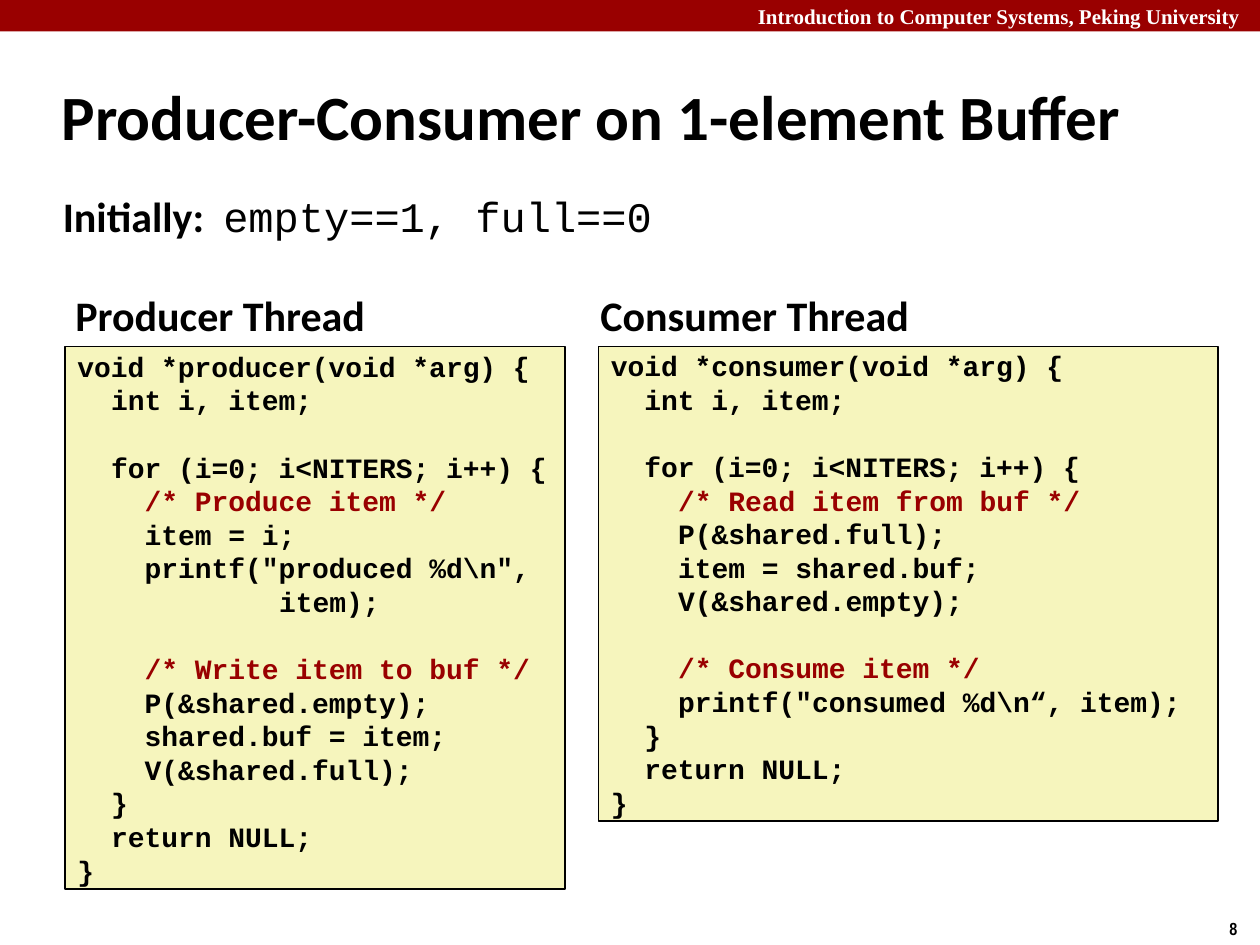
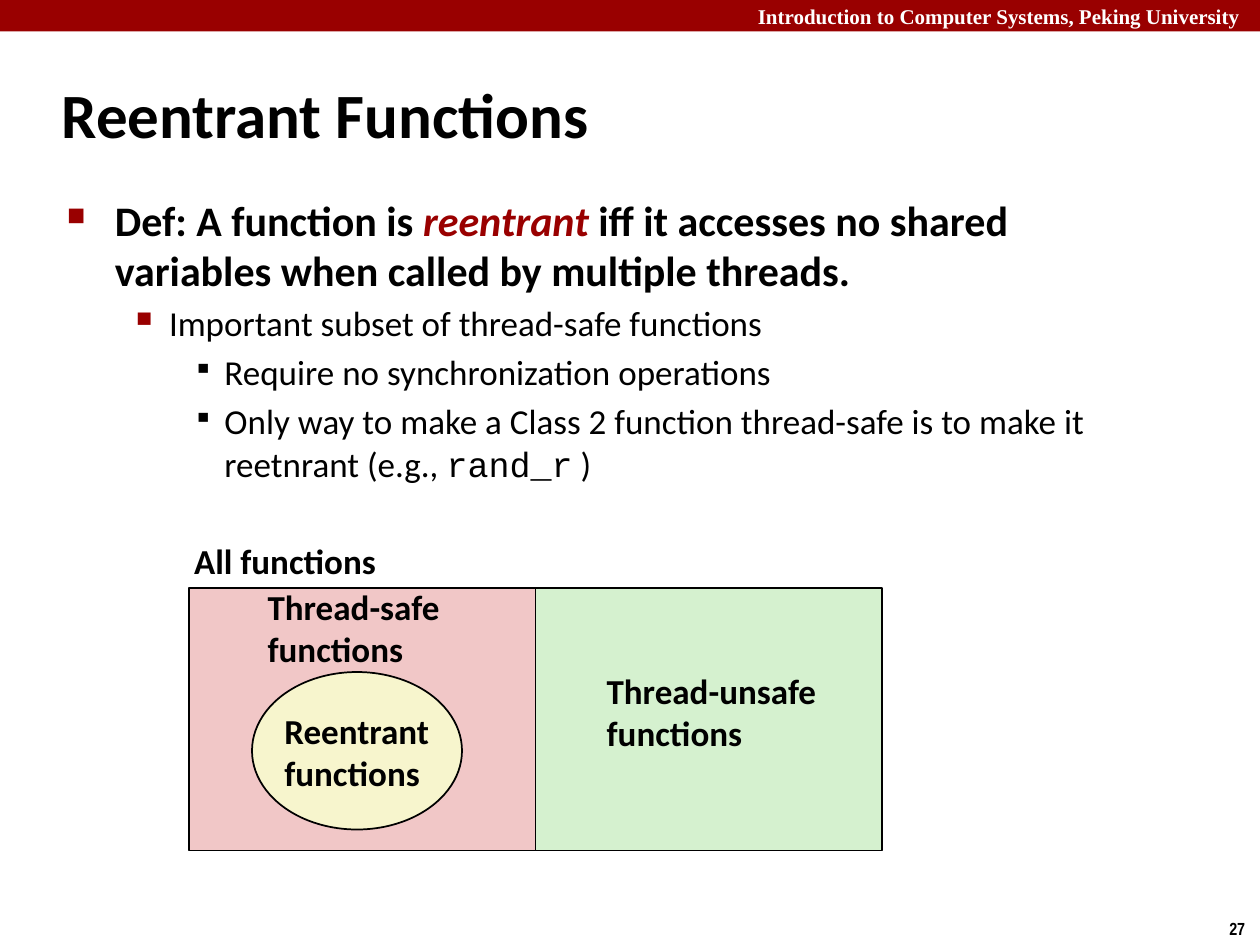
from dataclasses import dataclass
from typing import NamedTuple, Optional

from lxml import etree
from pptx import Presentation
from pptx.dml.color import RGBColor
from pptx.enum.shapes import MSO_SHAPE
from pptx.enum.text import MSO_ANCHOR
from pptx.oxml.ns import qn
from pptx.util import Inches, Pt

RECTANGLE, OVAL = MSO_SHAPE.RECTANGLE, MSO_SHAPE.OVAL
TOP, MIDDLE = MSO_ANCHOR.TOP, MSO_ANCHOR.MIDDLE

# Palette and fonts
RED = RGBColor(0x99, 0x00, 0x00)
BLACK = RGBColor(0x00, 0x00, 0x00)
WHITE = RGBColor(0xFF, 0xFF, 0xFF)
CODE_YELLOW = RGBColor(0xF6, 0xF5, 0xBD)
OVAL_YELLOW = RGBColor(0xF7, 0xF5, 0xCD)
PINK = RGBColor(0xF1, 0xC7, 0xC7)
GREEN = RGBColor(0xD5, 0xF1, 0xCF)
SANS, MONO = "Calibri", "Courier New"

# The slide is a grid of 120 columns by 90 rows
COLUMNS, ROWS = 120, 90
CELL = Inches(10) / COLUMNS

# Code layout, in points
CODE_SIZE, CODE_PITCH, CODE_CHARACTER = 16, 19.2, 9.6

PRODUCER_CODE = r"""void *producer(void *arg) {
  int i, item;

  for (i=0; i<NITERS; i++) {
    /* Produce item */
    item = i;
    printf("produced %d\n",
            item);

    /* Write item to buf */
    P(&shared.empty);
    shared.buf = item;
    V(&shared.full);
  }
  return NULL;
}"""

CONSUMER_CODE = r"""void *consumer(void *arg) {
  int i, item;

  for (i=0; i<NITERS; i++) {
    /* Read item from buf */
    P(&shared.full);
    item = shared.buf;
    V(&shared.empty);

    /* Consume item */
    printf("consumed %d\n“, item);
  }
  return NULL;
}"""


class Box(NamedTuple):
    """Left and width in columns, top and height in rows."""
    left: float
    top: float
    width: float
    height: float

    def emu(self) -> list:
        return [round(value * CELL) for value in self]


class Style(NamedTuple):
    size: float
    bold: bool = True
    name: str = SANS
    color: RGBColor = BLACK
    italic: bool = False


class Piece(NamedTuple):
    text: str
    style: Optional[Style] = None


class Level(NamedTuple):
    style: Style
    margin: float
    hanging: float
    bullet: str
    bullet_size: int
    bullet_color: RGBColor


@dataclass
class Label:
    box: Box
    lines: list
    style: Style
    anchor: MSO_ANCHOR = TOP


@dataclass
class Panel:
    box: Box
    fill: RGBColor
    kind: MSO_SHAPE = RECTANGLE


@dataclass
class CodePanel:
    heading: str
    heading_left: float
    box: Box
    code: str


TITLE = Style(36)
HEADING = Style(24)
DIAGRAM = Style(20)
CODE = Style(CODE_SIZE, name=MONO)
COMMENT = CODE._replace(color=RED)

BODY_LEVELS = [
    Level(HEADING, 0.38, 0.38, "■", 60, RED),
    Level(Style(20, False), 0.81, 0.31, "▪", 110, RED),
    Level(Style(20, False), 1.25, 0.25, "▪", 80, BLACK),
]

BODY = [
    (0, [Piece("Def: A function is "),
         Piece("reentrant ", HEADING._replace(color=RED, italic=True)),
         Piece("iff it accesses no shared variables when called by multiple threads.")]),
    (1, [Piece("Important subset of thread-safe functions")]),
    (2, [Piece("Require no synchronization operations")]),
    (2, [Piece("Only way to make a Class 2 function thread-safe is to make it reetnrant (e.g., "),
         Piece("rand_r", Style(20, False, MONO)), Piece(" )")]),
]

CODE_PANELS = [
    CodePanel("Producer Thread", 6, Box(6.2, 33, 47.6, 51.7), PRODUCER_CODE),
    CodePanel("Consumer Thread", 56, Box(57, 33, 59, 45.2), CONSUMER_CODE),
]

# Diagram: two equal halves with an oval inside the first
HALF = Box(18, 56, 33, 25)
PANELS = [
    Panel(HALF, PINK),
    Panel(HALF._replace(left=HALF.left + HALF.width), GREEN),
    Panel(Box(24, 64, 20, 15), OVAL_YELLOW, OVAL),
]
DIAGRAM_LABELS = [
    Label(Box(17.3, 50.8, 22, 5.2), ["All functions"], DIAGRAM, MIDDLE),
    Label(Box(24.3, 55.2, 20, 9.2), ["Thread-safe", "functions"], DIAGRAM, MIDDLE),
    Label(Box(56.6, 63.2, 24, 9.2), ["Thread-unsafe", "functions"], DIAGRAM, MIDDLE),
    Label(Box(25.9, 67, 17, 9.2), ["Reentrant", "functions"], DIAGRAM, MIDDLE),
]


def apply_font(font, style: Style) -> None:
    font.size, font.bold, font.italic = Pt(style.size), style.bold, style.italic
    font.name = style.name
    font.color.rgb = style.color


def prepare_frame(frame, anchor: MSO_ANCHOR, vertical_margin: float = 0.05) -> None:
    frame.word_wrap = True
    frame.vertical_anchor = anchor
    frame.margin_left, frame.margin_right = Inches(0.1), 0
    frame.margin_top = frame.margin_bottom = Inches(vertical_margin)


def next_paragraph(frame, index: int):
    return frame.paragraphs[0] if index == 0 else frame.add_paragraph()


def set_indent(paragraph, margin: int, first_line: int = 0) -> None:
    properties = paragraph._p.get_or_add_pPr()
    properties.set("marL", str(margin))
    properties.set("indent", str(first_line))


def fill_paragraph(paragraph, pieces: list, style: Style) -> None:
    apply_font(paragraph.font, style)
    for piece in pieces:
        run = paragraph.add_run()
        run.text = piece.text
        if piece.style:
            apply_font(run.font, piece.style)


def add_label(slide, label: Label):
    shape = slide.shapes.add_textbox(*label.box.emu())
    prepare_frame(shape.text_frame, label.anchor)
    for index, line in enumerate(label.lines):
        pieces = [Piece(line)] if isinstance(line, str) else line
        fill_paragraph(next_paragraph(shape.text_frame, index), pieces, label.style)
    return shape


def add_panel(slide, panel: Panel, outlined: bool = True):
    shape = slide.shapes.add_shape(panel.kind, *panel.box.emu())
    shape.shadow.inherit = False
    shape.fill.solid()
    shape.fill.fore_color.rgb = panel.fill
    if outlined:
        shape.line.color.rgb = BLACK
        shape.line.width = Pt(1)
    else:
        shape.line.fill.background()
    return shape


def add_code(slide, panel: CodePanel) -> None:
    heading_box = Box(panel.heading_left, 27, 36, 6)
    add_label(slide, Label(heading_box, [panel.heading], HEADING))
    frame = add_panel(slide, Panel(panel.box, CODE_YELLOW)).text_frame
    prepare_frame(frame, MIDDLE, 0)
    gap = index = 0
    for line in panel.code.splitlines():
        if not line:
            gap = CODE_PITCH
            continue
        text = line.lstrip()
        paragraph = next_paragraph(frame, index)
        paragraph.alignment = 1
        paragraph.line_spacing = Pt(CODE_PITCH)
        paragraph.space_before = Pt(gap)
        set_indent(paragraph, Pt((len(line) - len(text)) * CODE_CHARACTER))
        fill_paragraph(paragraph, [Piece(text)], COMMENT if text.startswith("/*") else CODE)
        gap, index = 0, index + 1


def add_bullet(paragraph, level: Level) -> None:
    properties = paragraph._p.get_or_add_pPr()
    color = etree.SubElement(properties, qn("a:buClr"))
    etree.SubElement(color, qn("a:srgbClr"), val=str(level.bullet_color))
    etree.SubElement(properties, qn("a:buSzPct"), val=str(level.bullet_size * 1000))
    etree.SubElement(properties, qn("a:buChar"), char=level.bullet)


def add_body(slide, box: Box) -> None:
    frame = slide.shapes.add_textbox(*box.emu()).text_frame
    prepare_frame(frame, TOP)
    for index, (depth, pieces) in enumerate(BODY):
        level = BODY_LEVELS[depth]
        paragraph = next_paragraph(frame, index)
        paragraph.level = depth
        paragraph.space_before = Pt(level.style.size * 0.2 if index else 0)
        set_indent(paragraph, Inches(level.margin), -Inches(level.hanging))
        add_bullet(paragraph, level)
        fill_paragraph(paragraph, pieces, level.style)


def start_slide(presentation, title: str, number: int, title_top: float):
    """Add a slide with the shared band, page number and title."""
    slide = presentation.slides.add_slide(presentation.slide_layouts[6])
    add_panel(slide, Panel(Box(0, 0, COLUMNS, 3), RED), outlined=False)
    add_label(slide, Label(Box(71, 0, 49, 3),
                           ["Introduction to Computer Systems, Peking University"],
                           Style(12, name="Times New Roman", color=WHITE), MIDDLE))
    add_label(slide, Label(Box(115.9, 86.8, 4.1, 3.2), [str(number)],
                           Style(10, name="Arial Narrow")))
    heading = add_label(slide, Label(Box(4.7, title_top, 108.4, 10), [title], TITLE, MIDDLE))
    set_indent(heading.text_frame.paragraphs[0], Inches(0.13), -Inches(0.13))
    return slide


def main() -> None:
    presentation = Presentation()
    presentation.slide_width = round(COLUMNS * CELL)
    presentation.slide_height = round(ROWS * CELL)

    # Producer and consumer code
    slide = start_slide(presentation, "Producer-Consumer on 1-element Buffer", 8, 6)
    initial_state = [Piece("Initially:  "), Piece("empty==1, full==0", Style(24, False, MONO))]
    add_label(slide, Label(Box(4.8, 18.1, 62, 4.8), [initial_state], HEADING, MIDDLE))
    for code_panel in CODE_PANELS:
        add_code(slide, code_panel)

    # Reentrant functions and their place among all functions
    slide = start_slide(presentation, "Reentrant Functions", 27, 5.8)
    add_body(slide, Box(5.2, 17.9, 103.7, 30.8))
    for panel in PANELS:
        add_panel(slide, panel)
    for label in DIAGRAM_LABELS:
        add_label(slide, label)

    presentation.save("out.pptx")


if __name__ == "__main__":
    main()
